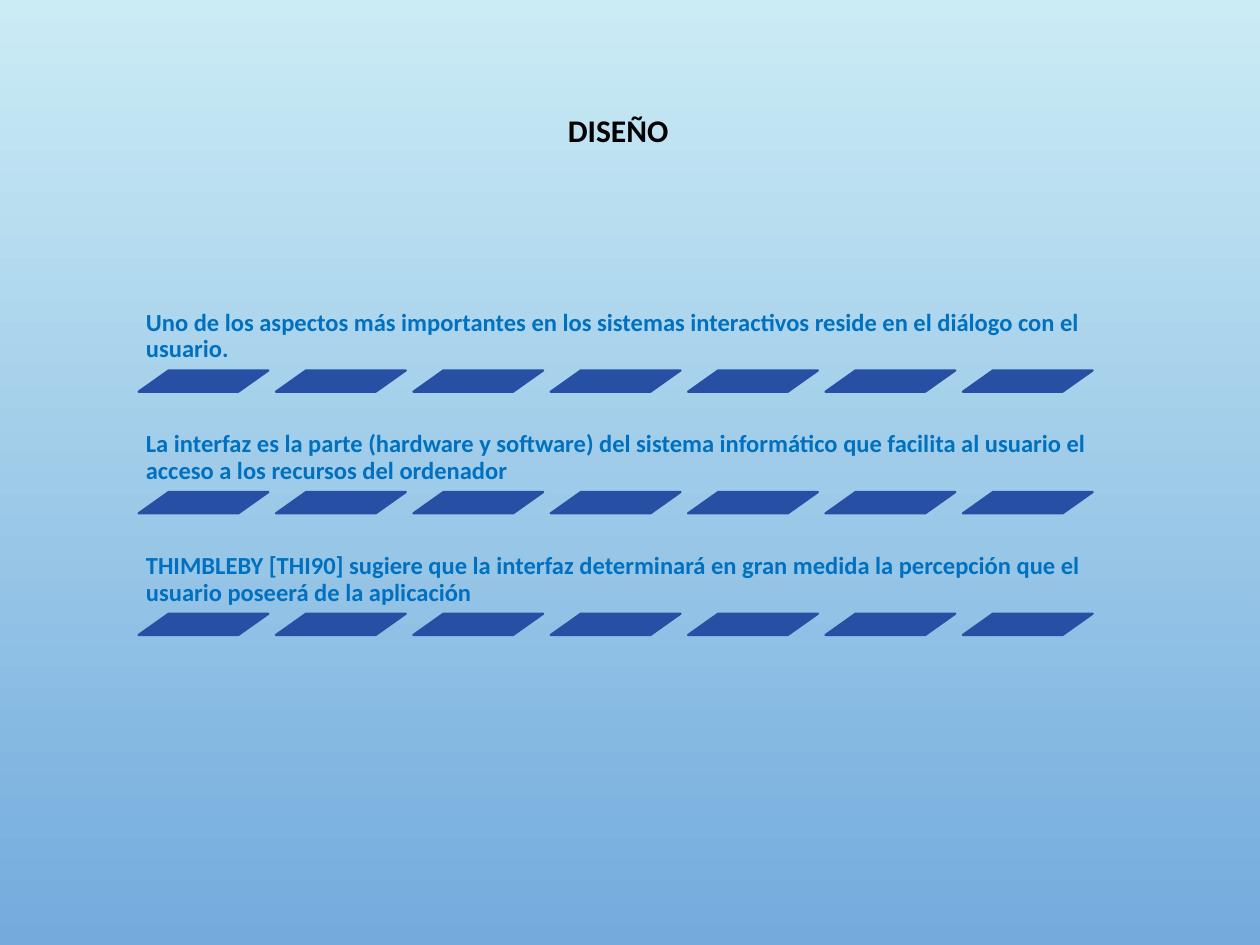
from pptx import Presentation
from pptx.dml.color import RGBColor
from pptx.enum.shapes import MSO_SHAPE
from pptx.enum.text import MSO_ANCHOR, PP_ALIGN
from pptx.util import Pt

PARALLELOGRAM = MSO_SHAPE.PARALLELOGRAM
BOTTOM = MSO_ANCHOR.BOTTOM
LEFT, CENTER = PP_ALIGN.LEFT, PP_ALIGN.CENTER

SKY_TOP = RGBColor(0xCB, 0xEC, 0xF5)
SKY_BOTTOM = RGBColor(0x73, 0xAB, 0xDD)
BAR_BLUE = RGBColor(0x27, 0x4F, 0xA4)
TEXT_BLUE = RGBColor(0x00, 0x70, 0xC0)
BLACK = RGBColor(0x00, 0x00, 0x00)

FONT = "Calibri"
STATEMENTS = [
    "Uno de los aspectos más importantes en los sistemas interactivos "
    "reside en el diálogo con el usuario.",
    "La interfaz es la parte (hardware y software) del sistema informático "
    "que facilita al usuario el acceso a los recursos del ordenador",
    "THIMBLEBY [THI90] sugiere que la interfaz determinará en gran medida "
    "la percepción que el usuario poseerá de la aplicación",
]

# Layout in points
LIST_LEFT, LIST_TOP, ROW_PITCH = 79.2, 161.3, 69.5
STATEMENT_WIDTH, STATEMENT_HEIGHT = 556.6, 50.4
BAR_COUNT, BAR_PITCH, BAR_WIDTH, BAR_HEIGHT = 7, 78.5, 74.2, 12.2


def paint_background(slide):
    fill = slide.background.fill
    fill.gradient()
    fill.gradient_angle = 270  # runs from top to bottom
    for stop, color in zip(fill.gradient_stops, (SKY_TOP, SKY_BOTTOM)):
        stop.color.rgb = color


def add_text(slide, text, left, top, width, height, size, color,
             align=LEFT, line_spacing=1.0, inset=None):
    box = slide.shapes.add_textbox(Pt(left), Pt(top), Pt(width), Pt(height))
    frame = box.text_frame
    frame.word_wrap = True
    frame.vertical_anchor = BOTTOM
    if inset is not None:
        frame.margin_left = frame.margin_right = Pt(inset)
        frame.margin_top = frame.margin_bottom = Pt(inset)
    paragraph = frame.paragraphs[0]
    paragraph.alignment = align
    paragraph.line_spacing = line_spacing
    run = paragraph.add_run()
    run.text = text
    run.font.name = FONT
    run.font.size = Pt(size)
    run.font.bold = True
    run.font.color.rgb = color


def add_bar(slide, left, top):
    bar = slide.shapes.add_shape(
        PARALLELOGRAM, Pt(left), Pt(top), Pt(BAR_WIDTH), Pt(BAR_HEIGHT))
    bar.adjustments[0] = 1.41
    bar.shadow.inherit = False
    bar.fill.solid()
    bar.fill.fore_color.rgb = BAR_BLUE
    bar.line.color.rgb = BAR_BLUE
    bar.line.width = Pt(1.25)


def add_statement(slide, text, top):
    add_text(slide, text, LIST_LEFT, top, STATEMENT_WIDTH, STATEMENT_HEIGHT,
             14, TEXT_BLUE, line_spacing=0.9, inset=4.2)
    for column in range(BAR_COUNT):
        add_bar(slide, LIST_LEFT + column * BAR_PITCH, top + STATEMENT_HEIGHT)


def main():
    presentation = Presentation()
    presentation.slide_width = Pt(720)
    presentation.slide_height = Pt(540)
    slide = presentation.slides.add_slide(presentation.slide_layouts[6])
    paint_background(slide)

    # Statements, each underlined by a row of bars
    for row, statement in enumerate(STATEMENTS):
        add_statement(slide, statement, LIST_TOP + row * ROW_PITCH)

    # Title
    add_text(slide, "DISEÑO", 31, 26, 644.4, 62.6, 18, BLACK, align=CENTER)

    presentation.save("out.pptx")


if __name__ == "__main__":
    main()
